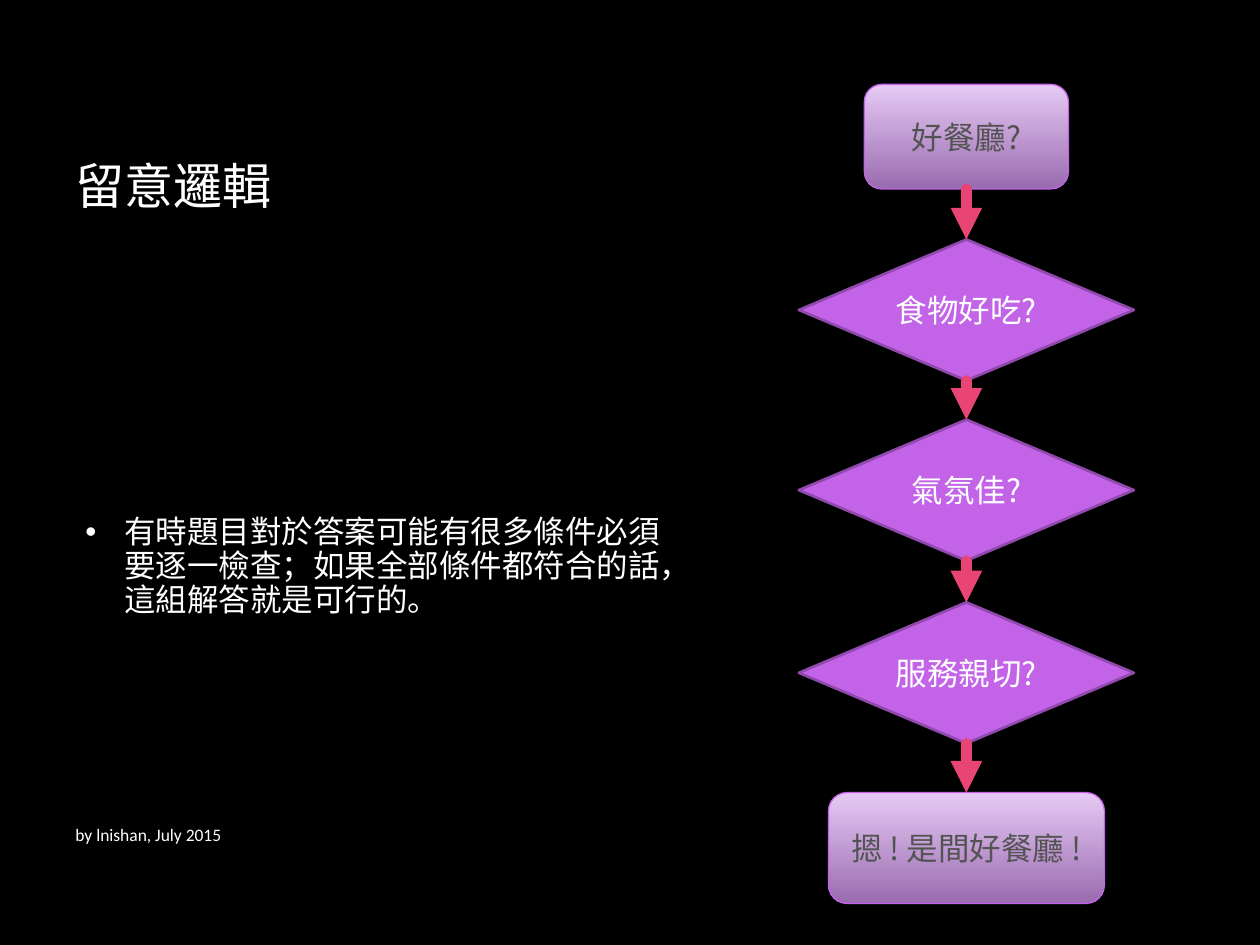
from dataclasses import dataclass

from lxml import etree
from pptx import Presentation
from pptx.dml.color import RGBColor
from pptx.enum.shapes import MSO_CONNECTOR, MSO_SHAPE
from pptx.enum.text import MSO_ANCHOR, PP_ALIGN
from pptx.oxml.ns import qn
from pptx.util import Inches, Pt

PROCESS = MSO_SHAPE.FLOWCHART_ALTERNATE_PROCESS
CHOICE = MSO_SHAPE.FLOWCHART_DECISION
ROUND = MSO_SHAPE.ROUNDED_RECTANGLE
STRAIGHT = MSO_CONNECTOR.STRAIGHT
MIDDLE = MSO_ANCHOR.MIDDLE
CENTER, LEFT = PP_ALIGN.CENTER, PP_ALIGN.LEFT
TOP, BOTTOM = 0, 2


@dataclass(frozen=True)
class Theme:
    back: str = "000000"
    white: str = "FFFFFF"
    dark: str = "535353"
    light: str = "E7CAF5"
    deep: str = "996BAF"
    fill: str = "C363E8"
    edge: str = "9049AC"
    arrow: str = "E84574"
    cjk: str = "Noto Sans CJK SC"
    latin: str = "Calibri"
    title: int = 28
    body: int = 18
    small: int = 10


THEME = Theme()


def color(code):
    return RGBColor.from_string(code)


def put(item, values):
    for name, value in values.items():
        setattr(item, name, value)


def write(shape, text, size, tint, font=THEME.cjk, align=LEFT):
    frame = shape.text_frame
    put(frame, {"word_wrap": True, "vertical_anchor": MIDDLE})
    para = frame.paragraphs[0]
    para.alignment = align
    run = para.add_run()
    run.text = text
    put(run.font, {"size": Pt(size), "name": font})
    run.font.color.rgb = color(tint)
    etree.SubElement(run.font._element, qn("a:ea"), typeface=font)
    return para


def add_text(slide, box, text, size, font=THEME.cjk):
    shape = slide.shapes.add_textbox(*map(Inches, box))
    return write(shape, text, size, THEME.white, font)


def add_bullet(para):
    para.line_spacing = 0.9
    para.space_after = Pt(10)
    props = para._p.get_or_add_pPr()
    props.set("marL", str(Inches(0.31)))
    props.set("indent", str(-Inches(0.31)))
    etree.SubElement(props, qn("a:buFont"), typeface="Arial")
    etree.SubElement(props, qn("a:buChar"), char="•")


def add_node(slide, kind, mid, top, size, text):
    """Place a flow step centred on mid: flat for a choice, shaded otherwise."""
    width, height = size
    box = (mid - width / 2, top, width, height)
    shape = slide.shapes.add_shape(kind, *map(Inches, box))
    shape.shadow.inherit = False
    if kind == CHOICE:
        shape.fill.solid()
        shape.fill.fore_color.rgb = color(THEME.fill)
        edge, weight, tint = THEME.edge, 1.5, THEME.white
    else:
        shape.fill.gradient()
        shape.fill.gradient_angle = 270
        for stop, code in zip(shape.fill.gradient_stops, (THEME.light, THEME.deep)):
            stop.color.rgb = color(code)
        edge, weight, tint = THEME.fill, 0.75, THEME.dark
    shape.line.color.rgb = color(edge)
    shape.line.width = Pt(weight)
    write(shape, text, THEME.body, tint, align=CENTER)
    return shape


def add_arrow(slide, start, end):
    link = slide.shapes.add_connector(STRAIGHT, 0, 0, 0, 0)
    link.begin_connect(start, BOTTOM)
    link.end_connect(end, TOP)
    link.line.color.rgb = color(THEME.arrow)
    link.line.width = Pt(6)
    line = link.line._get_or_add_ln()
    line.set("cap", "rnd")
    etree.SubElement(line, qn("a:tailEnd"), type="triangle")
    etree.SubElement(link._element.spPr, qn("a:effectLst"))


def main():
    deck = Presentation()
    put(deck, {"slide_width": Inches(10), "slide_height": Inches(7.5)})
    slide = deck.slides.add_slide(deck.slide_layouts[6])
    slide.background.fill.solid()
    slide.background.fill.fore_color.rgb = color(THEME.back)

    add_text(slide, (0.5, 0.67, 8.5, 1.59), "留意邏輯", THEME.title)
    body = "有時題目對於答案可能有很多條件必須要逐一檢查；如果全部條件都符合的話，這組解答就是可行的。"
    add_bullet(add_text(slide, (0.58, 2.44, 4.8, 4.12), body, THEME.body))
    add_text(slide, (0.5, 6.42, 6.55, 0.41), "by lnishan, July 2015",
             THEME.small, THEME.latin)

    diamond = (2.66, 1.12)
    steps = [
        (PROCESS, 0.67, (1.62, 0.83), "好餐廳?"),
        (CHOICE, 1.9, diamond, "食物好吃?"),
        (CHOICE, 3.33, diamond, "氣氛佳?"),
        (CHOICE, 4.78, diamond, "服務親切?"),
        (ROUND, 6.29, (2.19, 0.88), "摁 ! 是間好餐廳 !"),
    ]
    nodes = [add_node(slide, kind, 7.67, top, size, text)
             for kind, top, size, text in steps]
    for start, end in zip(nodes, nodes[1:]):
        add_arrow(slide, start, end)
    deck.save("out.pptx")


if __name__ == "__main__":
    main()
